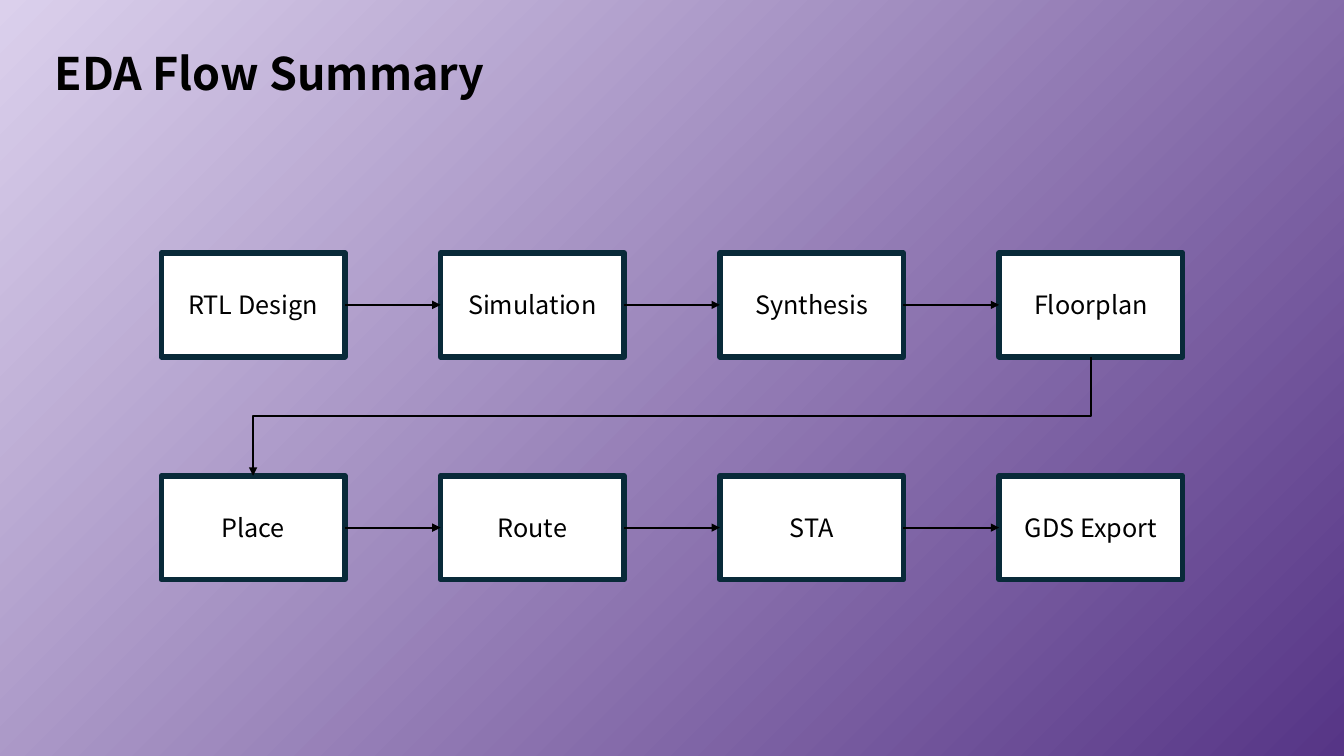
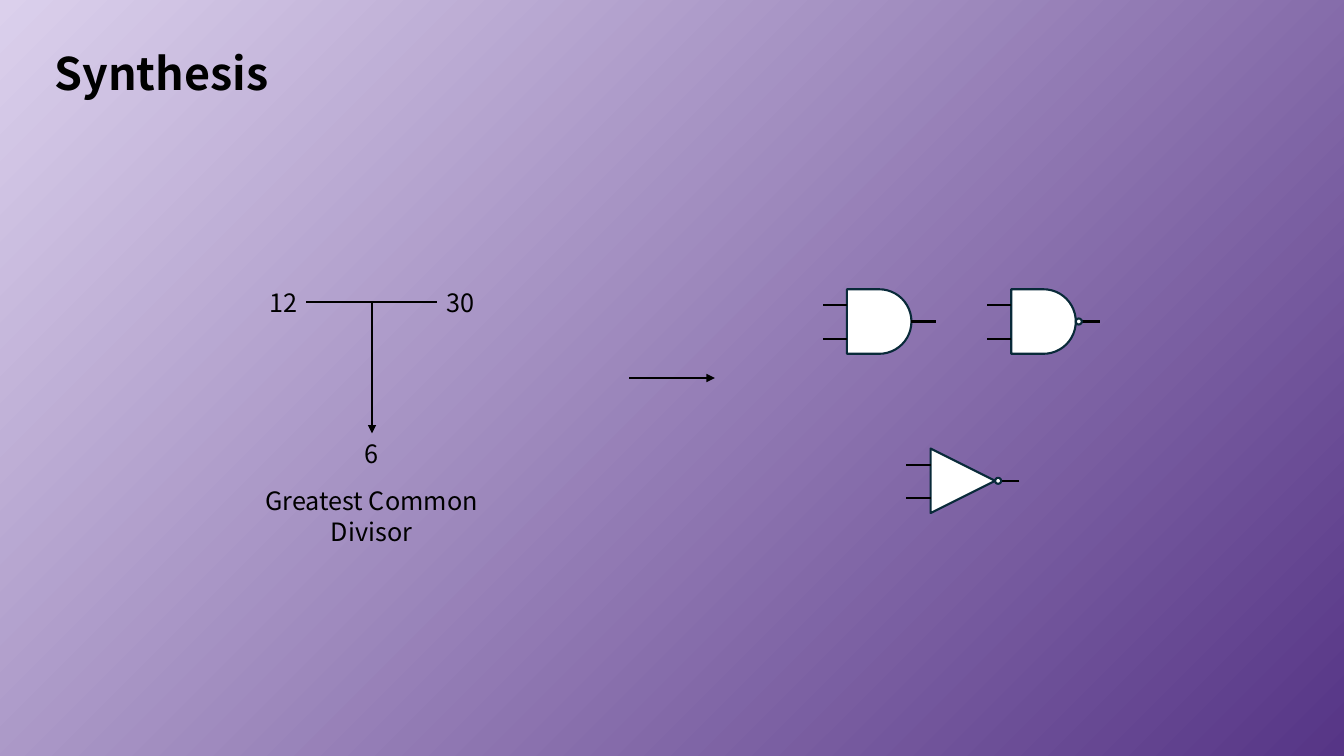
from lxml import etree
from pptx import Presentation
from pptx.dml.color import RGBColor
from pptx.enum.shapes import MSO_CONNECTOR, MSO_SHAPE
from pptx.enum.text import MSO_ANCHOR, MSO_AUTO_SIZE, PP_ALIGN
from pptx.oxml.ns import qn
from pptx.util import Inches, Pt

STRAIGHT, ELBOW = MSO_CONNECTOR.STRAIGHT, MSO_CONNECTOR.ELBOW
RECTANGLE, DELAY, OVAL = MSO_SHAPE.RECTANGLE, MSO_SHAPE.FLOWCHART_DELAY, MSO_SHAPE.OVAL
LEFT, CENTER = PP_ALIGN.LEFT, PP_ALIGN.CENTER
TOP, MIDDLE = MSO_ANCHOR.TOP, MSO_ANCHOR.MIDDLE

FONT = "Noto Sans CJK KR"
BLACK = RGBColor(0x00, 0x00, 0x00)
WHITE = RGBColor(0xFF, 0xFF, 0xFF)
NAVY = RGBColor(0x09, 0x2A, 0x39)
PURPLE = RGBColor(0x56, 0x35, 0x86)
LILAC = RGBColor(0xDB, 0xD0, 0xEC)

FLOW_TITLE = "EDA Flow Summary"
FLOW_ROWS = [
    ["RTL Design", "Simulation", "Synthesis", "Floorplan"],
    ["Place", "Route", "STA", "GDS Export"],
]
BOX_LEFT, BOX_TOP, BOX_WIDTH, BOX_HEIGHT = 1.6, 2.51, 1.82, 1.03
COLUMN_STEP, ROW_STEP = 2.77, 2.21
SITE_TOP, SITE_LEFT, SITE_BOTTOM, SITE_RIGHT = range(4)

SYNTHESIS_TITLE = "Synthesis"
DIVISOR_LABELS = [
    ("12", 2.57, 2.8, 0.48, LEFT, False),
    ("30", 4.33, 2.8, 0.48, LEFT, False),
    ("6", 3.52, 4.3, 0.34, LEFT, False),
    ("Greatest Common Divisor", 2.11, 4.77, 3.15, CENTER, True),
]
SYNTHESIS_LINES = [
    ((3.04, 3), (4.33, 3), False),
    ((3.69, 3), (3.69, 4.3), True),
    ((6.24, 3.75), (7.09, 3.75), True),
]
GATES = [
    ("and", 8.4, 2.87, False),
    ("nand", 10.03, 2.87, True),
    ("inverter", 9.23, 4.45, True),
]
GATE_SIZE, BUBBLE_SIZE, LEAD = 0.64, 0.06, 0.24
INPUT_OFFSETS = (0.16, 0.49)


def style_text(frame, size, align, anchor, bold=False):
    frame.vertical_anchor = anchor
    for para in frame.paragraphs:
        para.alignment = align
        for span in para.runs:
            span.font.name = FONT
            span.font.size = Pt(size)
            span.font.bold = bold
            span.font.color.rgb = BLACK


def style_outline(shape, weight):
    shape.shadow.inherit = False
    shape.fill.solid()
    shape.fill.fore_color.rgb = WHITE
    shape.line.color.rgb = NAVY
    shape.line.width = Pt(weight)
    return shape


def add_outlined(page, kind, left, top, width, height, weight):
    shape = page.shapes.add_shape(
        kind, Inches(left), Inches(top), Inches(width), Inches(height))
    return style_outline(shape, weight)


def add_line(page, start, end, arrow=False, kind=STRAIGHT):
    line = page.shapes.add_connector(
        kind, *(Inches(value) for value in (*start, *end)))
    line.line.color.rgb = BLACK
    line.line.width = Pt(1.5)
    if arrow:
        etree.SubElement(line.line._get_or_add_ln(), qn("a:tailEnd"), type="triangle")
    etree.SubElement(line._element.spPr, qn("a:effectLst"))
    return line


def connect(page, source, source_site, target, target_site, kind=STRAIGHT):
    arrow = add_line(page, (0, 0), (1, 1), True, kind)
    arrow.begin_connect(source, source_site)
    arrow.end_connect(target, target_site)
    return arrow


def turn_elbow(elbow):
    left, top, width, height = elbow.left, elbow.top, elbow.width, elbow.height
    xfrm = elbow._element.spPr.find(qn("a:xfrm"))
    xfrm.set("flipH", "0")
    xfrm.set("rot", str(90 * 60000))
    elbow.left = left + (width - height) // 2
    elbow.top = top + (height - width) // 2
    elbow.width, elbow.height = height, width


def add_page(deck, title):
    page = deck.slides.add_slide(deck.slide_layouts[5])
    heading = page.shapes.title
    heading.left, heading.top = Inches(0.44), Inches(0.4)
    heading.width, heading.height = Inches(6.09), Inches(0.64)
    heading.text_frame.text = title
    heading.text_frame.auto_size = MSO_AUTO_SIZE.NONE
    style_text(heading.text_frame, 32, LEFT, TOP, True)
    return page


def add_box(page, label, row, column):
    box = add_outlined(
        page, RECTANGLE, BOX_LEFT + column * COLUMN_STEP,
        BOX_TOP + row * ROW_STEP, BOX_WIDTH, BOX_HEIGHT, 4)
    box.text_frame.text = label
    style_text(box.text_frame, 18, CENTER, MIDDLE)
    return box


def build_flow(deck):
    page = add_page(deck, FLOW_TITLE)
    rows = [
        [add_box(page, label, row, column) for column, label in enumerate(labels)]
        for row, labels in enumerate(FLOW_ROWS)
    ]
    for boxes in rows:
        for source, target in zip(boxes, boxes[1:]):
            connect(page, source, SITE_RIGHT, target, SITE_LEFT)
    turn_elbow(connect(page, rows[0][-1], SITE_BOTTOM, rows[1][0], SITE_TOP, ELBOW))


def add_label(page, text, left, top, width, align, wrap):
    label = page.shapes.add_textbox(
        Inches(left), Inches(top), Inches(width), Inches(0.4))
    label.text_frame.text = text
    label.text_frame.word_wrap = wrap
    style_text(label.text_frame, 18, align, TOP)


def add_triangle(page, left, top):
    corners = [(left + GATE_SIZE, top + GATE_SIZE / 2), (left, top + GATE_SIZE)]
    outline = page.shapes.build_freeform(Inches(left), Inches(top))
    outline.add_line_segments([(Inches(x), Inches(y)) for x, y in corners], close=True)
    style_outline(outline.convert_to_shape(), 1.5)


def add_gate(page, kind, left, top, inverted):
    right, middle = left + GATE_SIZE, top + GATE_SIZE / 2
    if kind == "inverter":
        add_triangle(page, left, top)
    else:
        add_outlined(page, DELAY, left, top, GATE_SIZE, GATE_SIZE, 1.5)
    for offset in INPUT_OFFSETS:
        add_line(page, (left, top + offset), (left - LEAD, top + offset))
    output_start = right + (BUBBLE_SIZE if inverted else 0)
    add_line(page, (right + LEAD, middle), (output_start, middle))
    if inverted:
        add_outlined(page, OVAL, right, middle - BUBBLE_SIZE / 2,
                     BUBBLE_SIZE, BUBBLE_SIZE, 1.5)


def build_synthesis(deck):
    page = add_page(deck, SYNTHESIS_TITLE)
    for label in DIVISOR_LABELS:
        add_label(page, *label)
    for line in SYNTHESIS_LINES:
        add_line(page, *line)
    for gate in GATES:
        add_gate(page, *gate)


def main():
    deck = Presentation()
    deck.slide_width, deck.slide_height = Inches(13.33), Inches(7.5)
    backdrop = deck.slide_master.background.fill
    backdrop.gradient()
    backdrop.gradient_angle = 135
    for stop, color in zip(backdrop.gradient_stops, (PURPLE, LILAC)):
        stop.color.rgb = color
    build_flow(deck)
    build_synthesis(deck)
    deck.save("out.pptx")


if __name__ == "__main__":
    main()
